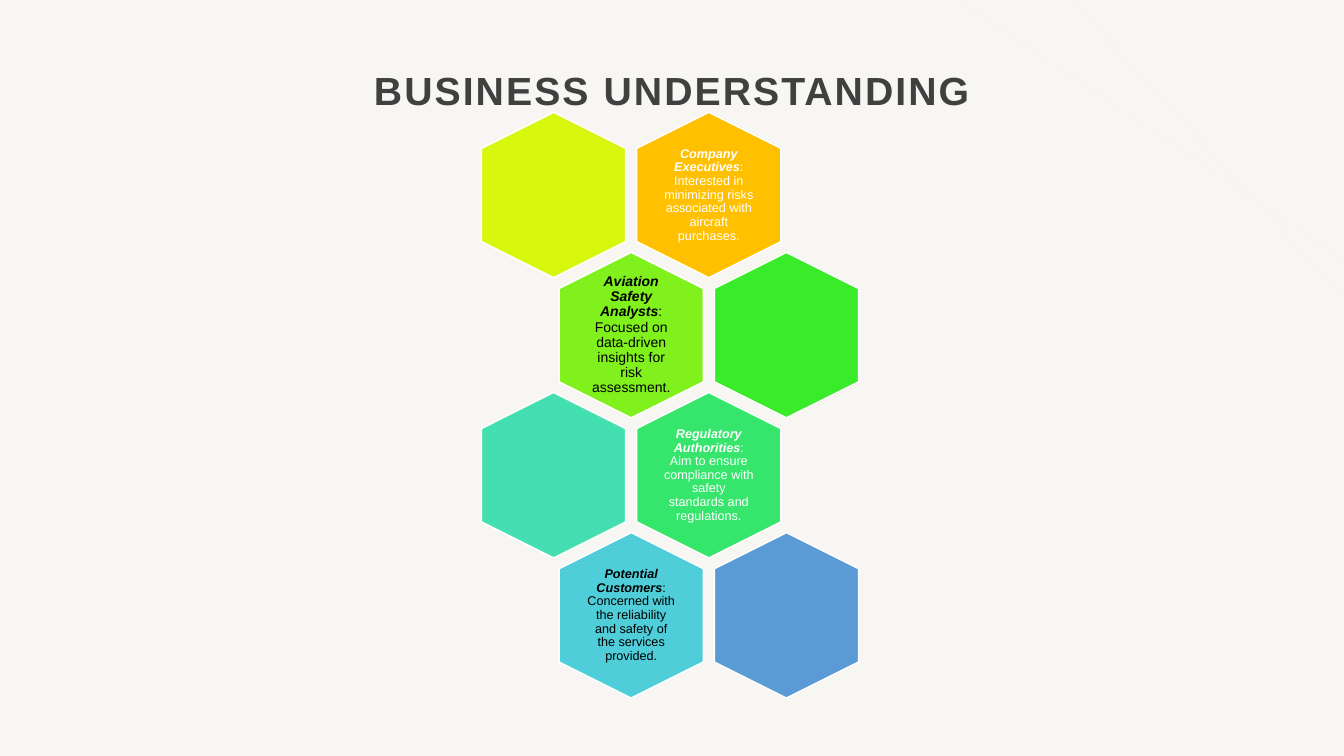
from lxml import etree
from pptx import Presentation
from pptx import util as u
from pptx.dml.color import RGBColor
from pptx.enum import shapes, text
from pptx.oxml.ns import qn

WHITE, BLACK = "FFFFFF", "000000"
HEXAGON_WIDTH, HEXAGON_HEIGHT = 1.64, 1.43
COLUMN_PITCH, ROW_PITCH = 1.54, 1.39
LABEL_WIDTH, LABEL_HEIGHT = 0.98, 1.13

HEXAGON_ROWS = [
    [("D7F80E", None),
     ("FFC000", ("Company Executives",
                 ": Interested in minimizing risks associated with aircraft purchases.", 9, WHITE))],
    [("80F11C", ("Aviation Safety Analysts",
                 ": Focused on data-driven insights for risk assessment.", 10, BLACK)),
     ("39EB29", None)],
    [("43DFB0", None),
     ("36E56C", ("Regulatory Authorities",
                 ": Aim to ensure compliance with safety standards and regulations.", 9, WHITE))],
    [("4FCEDA", ("Potential Customers",
                 ": Concerned with the reliability and safety of the services provided.", 9, BLACK)),
     ("5B9BD5", None)],
]


def color(value):
    """Turn a hex string into a colour."""
    return RGBColor.from_string(value)


def apply(target, values):
    """Set every attribute in a dict of format values."""
    for name, value in values.items():
        setattr(target, name, value)


def format_font(font, size, hex_color, **values):
    """Give a font the slide's typeface, a size and a colour."""
    apply(font, {"name": "Arial", "size": u.Pt(size), **values})
    font.color.rgb = color(hex_color)


def add_background(slide):
    """Fill the background and draw the faint lines in the top right corner."""
    slide.background.fill.solid()
    slide.background.fill.fore_color.rgb = color("F7F6F3")
    for start_x, end_y in [(9.5, 2.57), (10.63, 2.95)]:
        line = slide.shapes.add_connector(
            shapes.MSO_CONNECTOR.STRAIGHT,
            u.Inches(start_x), 0, u.Inches(13.33), u.Inches(end_y))
        line.line.color.rgb = color("FBF4EF")
        line.line.width = u.Pt(0.5)
        etree.SubElement(line._element.spPr, qn("a:effectLst"))


def add_title(slide, left, top, width, height):
    """Place the heading in the title placeholder."""
    title = slide.shapes.title
    apply(title, {"left": u.Inches(left), "top": u.Inches(top),
                  "width": u.Inches(width), "height": u.Inches(height)})
    apply(title.text_frame, {"text": "BUSINESS UNDERSTANDING", "word_wrap": True,
                             "auto_size": text.MSO_AUTO_SIZE.NONE,
                             "vertical_anchor": text.MSO_ANCHOR.MIDDLE})
    paragraph = title.text_frame.paragraphs[0]
    apply(paragraph, {"alignment": text.PP_ALIGN.CENTER, "line_spacing": 0.9})
    run = paragraph.runs[0]
    format_font(run.font, 28, "404040", bold=True)
    run.font._element.set("spc", "150")


def add_hexagon(group, left, top, fill):
    """Draw one upright hexagon by turning the preset a quarter."""
    hexagon = group.shapes.add_shape(
        shapes.MSO_SHAPE.HEXAGON, u.Inches(left), u.Inches(top),
        u.Inches(HEXAGON_WIDTH), u.Inches(HEXAGON_HEIGHT))
    hexagon.rotation = 90
    hexagon.adjustments[0] = 0.25
    hexagon.shadow.inherit = False
    hexagon.fill.solid()
    hexagon.fill.fore_color.rgb = color(fill)
    hexagon.line.color.rgb = color(WHITE)
    hexagon.line.width = u.Pt(1)


def add_label(group, left, top, stakeholder, interest, size, hex_color):
    """Centre a stakeholder description in the hexagon at the given corner."""
    label = group.shapes.add_textbox(
        u.Inches(left + (HEXAGON_WIDTH - LABEL_WIDTH) / 2),
        u.Inches(top + (HEXAGON_HEIGHT - LABEL_HEIGHT) / 2),
        u.Inches(LABEL_WIDTH), u.Inches(LABEL_HEIGHT))
    margins = {f"margin_{side}": u.Inches(0.04) for side in ("left", "top", "right", "bottom")}
    apply(label.text_frame, {"word_wrap": True,
                             "vertical_anchor": text.MSO_ANCHOR.MIDDLE, **margins})
    paragraph = label.text_frame.paragraphs[0]
    apply(paragraph, {"alignment": text.PP_ALIGN.CENTER, "line_spacing": 0.9})
    for words, strong in [(stakeholder, True), (interest, False)]:
        run = paragraph.add_run()
        run.text = words
        format_font(run.font, size, hex_color, bold=strong, italic=strong)


def add_honeycomb(slide, left, top):
    """Lay out the hexagons in rows, with every second row shifted half a column."""
    group = slide.shapes.add_group_shape()
    for row, hexagons in enumerate(HEXAGON_ROWS):
        for column, (fill, label) in enumerate(hexagons):
            x = left + (column + row % 2 / 2) * COLUMN_PITCH
            y = top + row * ROW_PITCH
            add_hexagon(group, x, y, fill)
            if label:
                add_label(group, x, y, *label)


def main():
    """Build and save the presentation."""
    presentation = Presentation()
    apply(presentation, {"slide_width": u.Inches(13.33), "slide_height": u.Inches(7.5)})
    slide = presentation.slides.add_slide(presentation.slide_layouts[5])
    add_background(slide)
    add_title(slide, 2.06, 0.39, 9.21, 1.06)
    add_honeycomb(slide, 4.67, 1.22)
    presentation.save("out.pptx")


if __name__ == "__main__":
    main()
